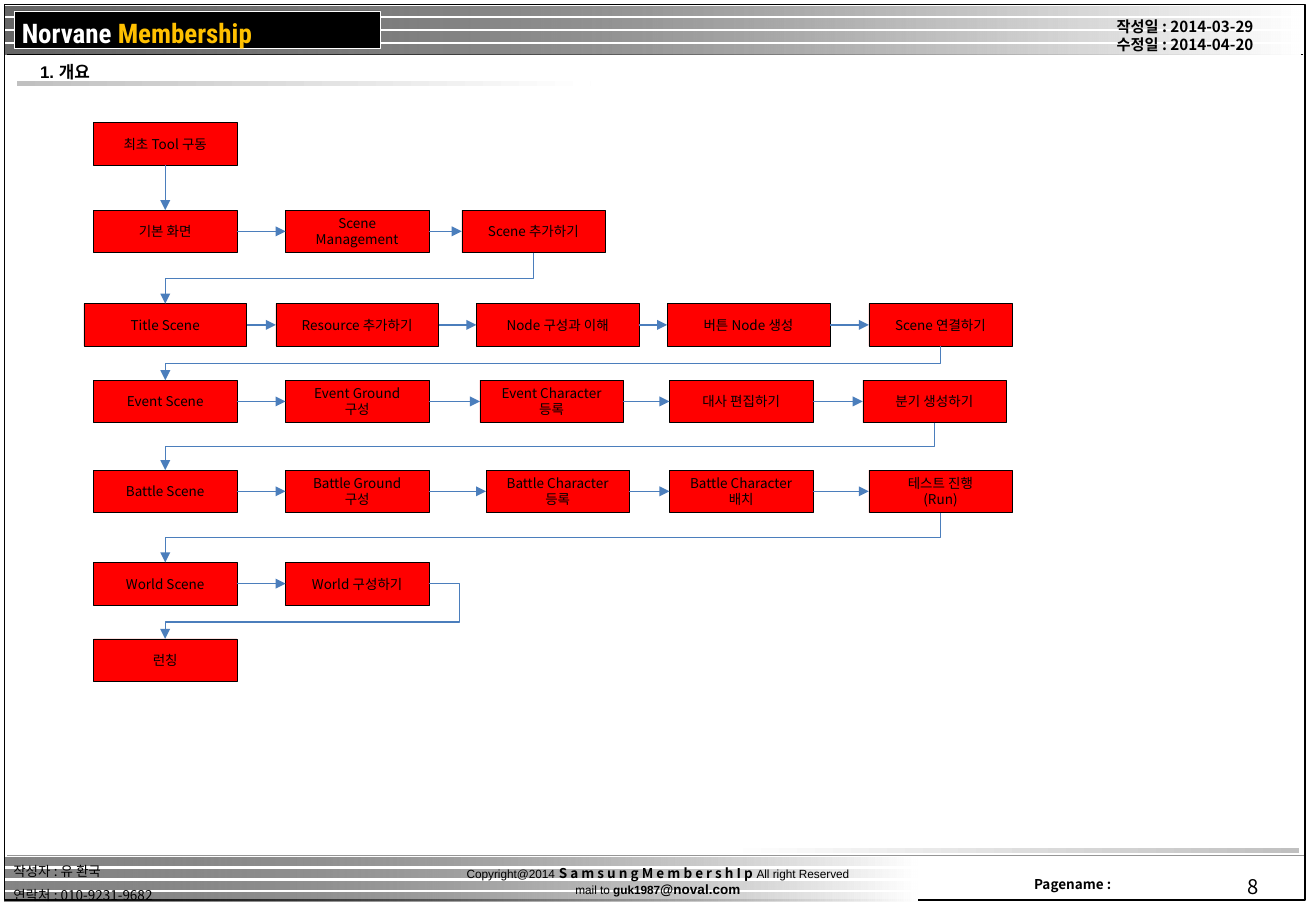
"""Build the overview slide: a flow of tool steps inside a page frame with header and footer."""
from dataclasses import dataclass
from itertools import pairwise

from lxml import etree
from pptx import Presentation
from pptx import util as u
from pptx.dml.color import RGBColor
from pptx.enum import shapes, text
from pptx.oxml import ns

CELL = u.Inches(0.1)
COLUMNS, ROWS = 108.3, 75
TOP, LEFT, BOTTOM, RIGHT = range(4)

BLACK = RGBColor(0x00, 0x00, 0x00)
WHITE = RGBColor(0xFF, 0xFF, 0xFF)
RED = RGBColor(0xFF, 0x00, 0x00)
AMBER = RGBColor(0xFF, 0xC0, 0x00)
SILVER = RGBColor(0xC0, 0xC0, 0xC0)
GREY = RGBColor(0x96, 0x96, 0x96)
ARROW_BLUE = RGBColor(0x4B, 0x7E, 0xBC)

KOREAN, ARIAL, CONDENSED = "Noto Sans CJK KR", "Arial", "Roboto Condensed"
STEP_HEIGHT, NARROW, WIDE = 3.5, 11.8, 13.4


@dataclass(frozen=True)
class Area:
    left: float
    top: float
    width: float
    height: float


@dataclass(frozen=True)
class Words:
    text: str
    size: float
    font: str = KOREAN
    bold: bool = False
    color: RGBColor = BLACK


@dataclass(frozen=True)
class Label:
    area: Area
    lines: tuple[tuple[Words, ...], ...]
    inset: tuple[float, float, float] = (1.1, 0.6, 0.6)
    align: text.PP_ALIGN = text.PP_ALIGN.LEFT
    spacing: float = 1.0


@dataclass(frozen=True)
class Band:
    area: Area
    start: RGBColor
    end: RGBColor
    opacity: int = 100


@dataclass(frozen=True)
class Step:
    text: str
    left: float
    width: float = NARROW


@dataclass(frozen=True)
class FlowRow:
    top: float
    steps: tuple[Step, ...]


BANDS = (
    *(Band(Area(0.4, 70.6 + 0.97 * i, 75.1, 0.7), BLACK, WHITE, 48) for i in range(4)),
    *(Band(Area(0.4, 0.5 + 1.06 * i, 106.6, 0.8), BLACK, WHITE, 60) for i in range(4)),
    Band(Area(59.7, 69.8, 47.2, 0.4), WHITE, SILVER),
    Band(Area(1.4, 6.7, 47.2, 0.4), SILVER, WHITE),
)

LABELS = (
    Label(Area(84, 71.5, 9.3, 2.5), ((Words("Pagename :", 8, bold=True),),)),
    Label(Area(101.6, 71.4, 5.4, 3.2), ((Words("8", 12),),)),
    Label(Area(32.8, 71.2, 42.7, 3.3), (
        (Words("Copyright@2014", 7, ARIAL), Words(" ", 8, ARIAL),
         Words("S a m s u n g M e m b e r s h I p ", 8, bold=True),
         Words("All right Reserved", 7, ARIAL)),
        (Words("mail to ", 7, ARIAL), Words("guk1987", 7, ARIAL, True),
         Words("@noval.com", 8, ARIAL, True)),
    ), (0, 0, 0.6), text.PP_ALIGN.CENTER),
    Label(Area(1.8, 1.4, 28.7, 2.7), (
        (Words("Norvane ", 16, CONDENSED, True, WHITE),
         Words("Membership", 16, CONDENSED, True, AMBER)),
    ), (0, 0, 0)),
    Label(Area(0, 69.8, 15.7, 5.2), (
        (Words("작성자 : 유 환국", 8),), (Words("연락처 : 010-9231-9682", 8),),
    ), spacing=1.5),
    Label(Area(90.8, 0.8, 16.2, 4.2), (
        (Words("작성일 : 2014-03-29", 9, bold=True),),
        (Words("수정일 : 2014-04-20", 9, bold=True),),
    )),
    Label(Area(2.2, 4.5, 25.2, 2.8), ((Words("1. 개요", 10, ARIAL, True),),)),
)

FLOW = (
    FlowRow(10.1, (Step("최초 Tool 구동", 7.7),)),
    FlowRow(17.3, (Step("기본 화면", 7.7), Step("Scene Management", 23.5),
                   Step("Scene 추가하기", 38))),
    FlowRow(25, (Step("Title Scene", 6.9, WIDE), Step("Resource 추가하기", 22.7, WIDE),
                 Step("Node 구성과 이해", 39.2, WIDE), Step("버튼 Node 생성", 54.9, WIDE),
                 Step("Scene 연결하기", 71.5))),
    FlowRow(31.3, (Step("Event Scene", 7.7), Step("Event Ground\n구성", 23.5),
                   Step("Event Character 등록", 39.5), Step("대사 편집하기", 55.1),
                   Step("분기 생성하기", 71))),
    FlowRow(38.7, (Step("Battle Scene", 7.7), Step("Battle Ground\v구성", 23.5),
                   Step("Battle Character\n등록", 40), Step("Battle Character\n배치", 55.1),
                   Step("테스트 진행\n(Run)", 71.5))),
    FlowRow(46.3, (Step("World Scene", 7.7), Step("World 구성하기", 23.5))),
    FlowRow(52.6, (Step("런칭", 7.7),)),
)


def cells(count: float) -> u.Emu:
    return u.Emu(round(CELL * count))


def bounds(area: Area) -> tuple[u.Emu, ...]:
    return tuple(cells(n) for n in (area.left, area.top, area.width, area.height))


def style_run(run, words: Words) -> None:
    run.font.size, run.font.bold = u.Pt(words.size), words.bold
    run.font.color.rgb, run.font.name = words.color, words.font
    etree.SubElement(run.font._element, ns.qn("a:ea"), typeface=KOREAN)


def add_box(slide, area: Area, fill: RGBColor | None, line: RGBColor, weight: float):
    box = slide.shapes.add_shape(shapes.MSO_SHAPE.RECTANGLE, *bounds(area))
    box.shadow.inherit = False
    if fill is None:
        box.fill.background()
    else:
        box.fill.solid()
        box.fill.fore_color.rgb = fill
    box.line.color.rgb, box.line.width = line, u.Pt(weight)
    return box


def add_band(slide, band: Band) -> None:
    bar = slide.shapes.add_shape(shapes.MSO_SHAPE.RECTANGLE, *bounds(band.area))
    bar.shadow.inherit = False
    bar.line.fill.background()
    bar.fill.gradient()
    bar.fill.gradient_angle = 0
    for stop, color in zip(bar.fill.gradient_stops, (band.start, band.end)):
        stop.color.rgb = color
    if band.opacity < 100:
        first = next(bar._element.iter(ns.qn("a:srgbClr")))
        etree.SubElement(first, ns.qn("a:alpha"), val=str(band.opacity * 1000))


def add_label(slide, label: Label) -> None:
    frame = slide.shapes.add_textbox(*bounds(label.area)).text_frame
    frame.word_wrap = True
    side, above, below = (cells(n) for n in label.inset)
    frame.margin_left = frame.margin_right = side
    frame.margin_top, frame.margin_bottom = above, below
    for i, line in enumerate(label.lines):
        paragraph = frame.add_paragraph() if i else frame.paragraphs[0]
        paragraph.alignment, paragraph.line_spacing = label.align, label.spacing
        for words in line:
            run = paragraph.add_run()
            run.text = words.text
            style_run(run, words)


def add_step(slide, step: Step, top: float):
    box = add_box(slide, Area(step.left, top, step.width, STEP_HEIGHT), RED, BLACK, 0.25)
    box.text_frame.text = step.text
    box.text_frame.word_wrap = True
    box.text_frame.vertical_anchor = text.MSO_ANCHOR.MIDDLE
    for paragraph in box.text_frame.paragraphs:
        paragraph.alignment = text.PP_ALIGN.CENTER
        for run in paragraph.runs:
            style_run(run, Words(run.text, 8))
    return box


def style_line(line, color: RGBColor, weight: float) -> None:
    line.line.color.rgb, line.line.width = color, u.Pt(weight)
    etree.SubElement(line._element.spPr, ns.qn("a:effectLst"))


def add_rule(slide, left: float, right: float, y: float, color: RGBColor) -> None:
    ends = (cells(n) for n in (left, y, right, y))
    style_line(slide.shapes.add_connector(shapes.MSO_CONNECTOR.STRAIGHT, *ends), color, 0.5)


def add_arrow(slide, source, source_side: int, target, target_side: int, bent: bool = False):
    kind = shapes.MSO_CONNECTOR.ELBOW if bent else shapes.MSO_CONNECTOR.STRAIGHT
    arrow = slide.shapes.add_connector(kind, 0, 0, 0, 0)
    arrow.begin_connect(source, source_side)
    arrow.end_connect(target, target_side)
    style_line(arrow, ARROW_BLUE, 0.75)
    etree.SubElement(arrow.line._get_or_add_ln(), ns.qn("a:tailEnd"), type="triangle")
    return arrow


def turn_down(arrow) -> None:
    across, down = arrow.width, arrow.height
    arrow.left, arrow.top = arrow.left + (across - down) // 2, arrow.top + (down - across) // 2
    arrow.width, arrow.height = down, across
    frame = arrow._element.spPr.find(ns.qn("a:xfrm"))
    frame.attrib.pop("flipH", None)
    frame.set("rot", "5400000")


def loop_back(arrow) -> None:
    geometry = arrow._element.spPr.find(ns.qn("a:prstGeom"))
    geometry.set("prst", "bentConnector4")
    guides = geometry.find(ns.qn("a:avLst"))
    for name, value in (("adj1", -11500), ("adj2", 69600)):
        etree.SubElement(guides, ns.qn("a:gd"), name=name, fmla=f"val {value}")


def add_flow(slide) -> None:
    rows = [[add_step(slide, step, row.top) for step in row.steps] for row in FLOW]
    for row in rows:
        for source, target in pairwise(row):
            add_arrow(slide, source, RIGHT, target, LEFT)
    first, *middle, last = pairwise(rows)
    add_arrow(slide, first[0][-1], BOTTOM, first[1][0], TOP)
    for above, below in middle:
        turn_down(add_arrow(slide, above[-1], BOTTOM, below[0], TOP, bent=True))
    loop_back(add_arrow(slide, last[0][-1], RIGHT, last[1][0], TOP, bent=True))


def main() -> None:
    deck = Presentation()
    deck.slide_width, deck.slide_height = cells(COLUMNS), cells(ROWS)
    slide = deck.slides.add_slide(deck.slide_layouts[6])
    add_box(slide, Area(0.4, 0.4, 107, 73.7), None, BLACK, 0.75)
    add_rule(slide, 0.6, 107.3, 70.4, GREY)
    add_rule(slide, 0.6, 107.2, 4.5, BLACK)
    for band in BANDS:
        add_band(slide, band)
    add_box(slide, Area(1.2, 0.9, 30.1, 3.1), BLACK, WHITE, 0.25)
    for label in LABELS:
        add_label(slide, label)
    add_flow(slide)
    deck.save("out.pptx")


if __name__ == "__main__":
    main()
